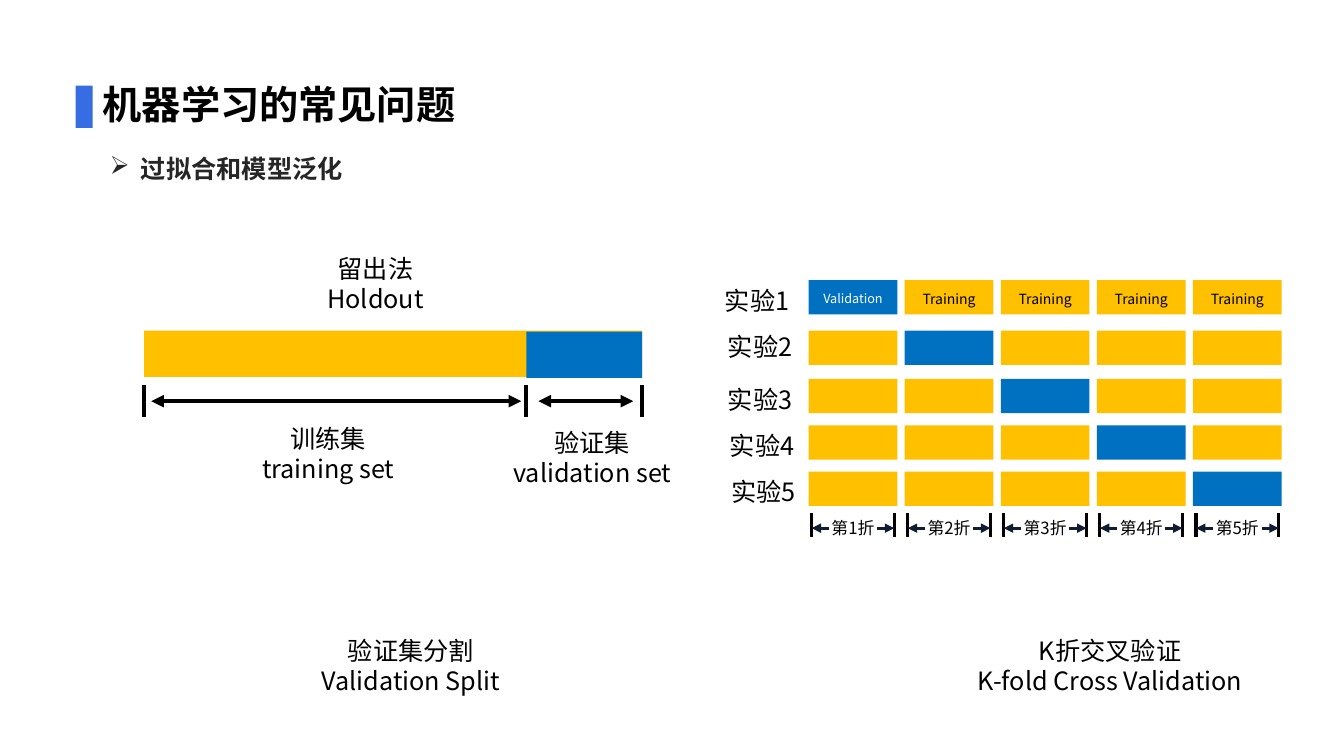
from lxml import etree
from pptx import Presentation
from pptx import util as u
from pptx.dml.color import RGBColor
from pptx.enum import shapes, text
from pptx.oxml.ns import qn

FONT = "Noto Sans CJK SC"
BLACK = RGBColor(0, 0, 0)
WHITE = RGBColor(255, 255, 255)
GRAY = RGBColor(0x26, 0x26, 0x26)
NAVY = RGBColor(0x10, 0x1C, 0x32)
ACCENT = RGBColor(0x36, 0x6D, 0xE2)
GOLD = RGBColor(0xFF, 0xC0, 0x00)
BLUE = RGBColor(0x00, 0x70, 0xC0)

TITLE = "机器学习的常见问题"
TOPIC = "过拟合和模型泛化"
CAPTIONS = [
    (("留出法", "Holdout"), (2.27, 2.46, 2.91, 0.71)),
    (("训练集", "training set"), (1.85, 4.15, 2.81, 0.71)),
    (("验证集", "validation set"), (4.73, 4.19, 2.29, 0.71)),
    (("验证集分割", "Validation Split"), (2.62, 6.25, 2.91, 0.71)),
    (("K折交叉验证", "K-fold Cross Validation"), (9.25, 6.25, 3.52, 1.01)),
]
ROWS = [
    ("实验1", 6.93, 2.78, 2.78),
    ("实验2", 6.96, 3.24, 3.28),
    ("实验3", 6.96, 3.76, 3.76),
    ("实验4", 6.98, 4.22, 4.22),
    ("实验5", 6.99, 4.68, 4.68),
]
FOLDS = ["第1折", "第2折", "第3折", "第4折", "第5折"]
LEFT, STEP, CELL_W, CELL_H = 8.02, 0.953, 0.88, 0.34
START, SPLIT, END = 1.43, 5.22, 6.37

deck = Presentation()
deck.slide_width, deck.slide_height = u.Inches(13.33), u.Inches(7.5)
slide = deck.slides.add_slide(deck.slide_layouts[5])
slide.background.fill.solid()
slide.background.fill.fore_color.rgb = WHITE


def inches(nums):
    return [u.Inches(n) for n in nums]


def write(shape, *lines, size=18, color=BLACK, bold=False,
          align=text.PP_ALIGN.CENTER, anchor=text.MSO_ANCHOR.TOP, space=None):
    frame = shape.text_frame
    frame.word_wrap = True
    frame.auto_size = text.MSO_AUTO_SIZE.NONE
    frame.vertical_anchor = anchor
    frame.text = "\n".join(lines)
    for para in frame.paragraphs:
        para.alignment = align
        para.line_spacing = space
        font = para.runs[0].font
        font.size, font.bold, font.name = u.Pt(size), bold, FONT
        font.color.rgb = color
        face = etree.SubElement(para.runs[0]._r.get_or_add_rPr(), qn("a:ea"))
        face.set("typeface", FONT)


def label(box, *lines, **style):
    shape = slide.shapes.add_textbox(*inches(box))
    write(shape, *lines, **style)
    return shape


def block(box, color):
    shape = slide.shapes.add_shape(shapes.MSO_SHAPE.RECTANGLE, *inches(box))
    shape.shadow.inherit = False
    shape.fill.solid()
    shape.fill.fore_color.rgb = color
    shape.line.fill.background()
    return shape


def line(x1, y1, x2, y2, width=3, color=BLACK, ends=()):
    link = slide.shapes.add_connector(
        shapes.MSO_CONNECTOR.STRAIGHT, *inches((x1, y1, x2, y2)))
    link.line.width = u.Pt(width)
    link.line.color.rgb = color
    for end in ends:
        tip = etree.SubElement(link.line._get_or_add_ln(), qn("a:" + end))
        tip.set("type", "triangle")
    etree.SubElement(link._element.spPr, qn("a:effectLst"))


def header():
    block((0.75, 0.85, 0.17, 0.42), ACCENT)
    title = slide.shapes.title
    title.left, title.top, title.width, title.height = inches(
        (0.92, 0.76, 7.19, 0.54))
    write(title, TITLE, size=28, bold=True, align=text.PP_ALIGN.LEFT,
          anchor=text.MSO_ANCHOR.MIDDLE)
    topic = label((0.99, 1.47, 5.58, 0.4), TOPIC, color=GRAY, bold=True,
                  align=text.PP_ALIGN.LEFT)
    props = topic.text_frame.paragraphs[0]._p.get_or_add_pPr()
    props.set("marL", str(u.Inches(0.31)))
    props.set("indent", str(-u.Inches(0.31)))
    face = etree.SubElement(props, qn("a:buFont"))
    face.set("typeface", "Wingdings")
    mark = etree.SubElement(props, qn("a:buChar"))
    mark.set("char", "Ø")


def holdout():
    block((START, 3.28, END - START, 0.46), GOLD)
    block((SPLIT, 3.29, END - SPLIT, 0.46), BLUE)
    for x in (START, SPLIT, END):
        line(x, 3.82, x, 4.14)
    for x1, x2 in ((1.5, 5.17), (5.34, 6.28)):
        line(x1, 3.98, x2, 3.98, ends=("headEnd", "tailEnd"))
    for lines, box in CAPTIONS:
        label(box, *lines)


def folds():
    for row, (name, x, y, top) in enumerate(ROWS):
        label((x, y, 1.16, 0.4), name)
        for col in range(len(FOLDS)):
            held = row == col
            cell = block((LEFT + col * STEP, top, CELL_W, CELL_H),
                         BLUE if held else GOLD)
            if row == 0:
                write(cell, "Validation" if held else "Training",
                      size=9 if held else 10, color=WHITE if held else BLACK,
                      anchor=text.MSO_ANCHOR.MIDDLE, space=1.2)
    for col, name in enumerate(FOLDS):
        x1 = LEFT + col * STEP + 0.03
        x2 = x1 + 0.82
        label((x1 - 0.17, 5.09, 1.16, 0.3), name, size=12)
        for x, tail in ((x1, x1 + 0.17), (x2, x2 - 0.17)):
            line(x, 5.09, x, 5.33, width=2.25)
            line(tail, 5.24, x, 5.24, width=2.25, color=NAVY,
                 ends=("tailEnd",))


header()
holdout()
folds()
deck.save("out.pptx")
